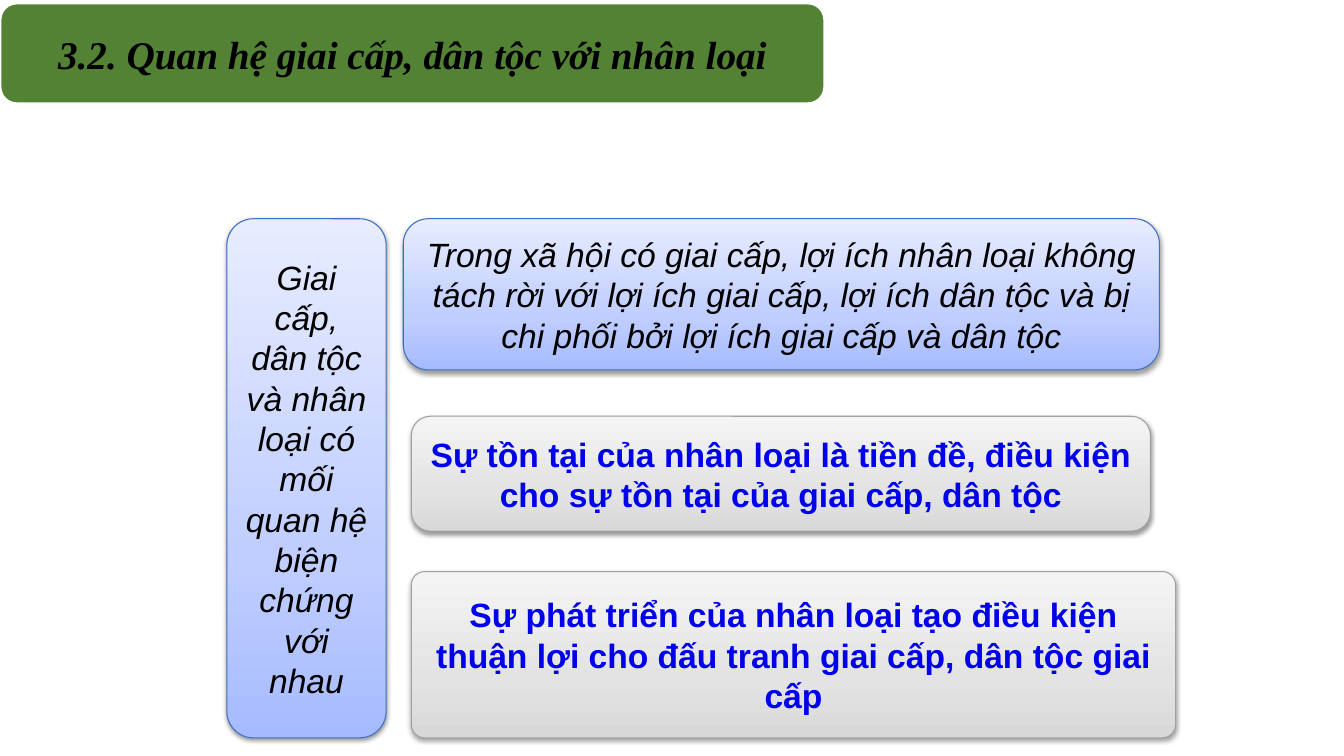
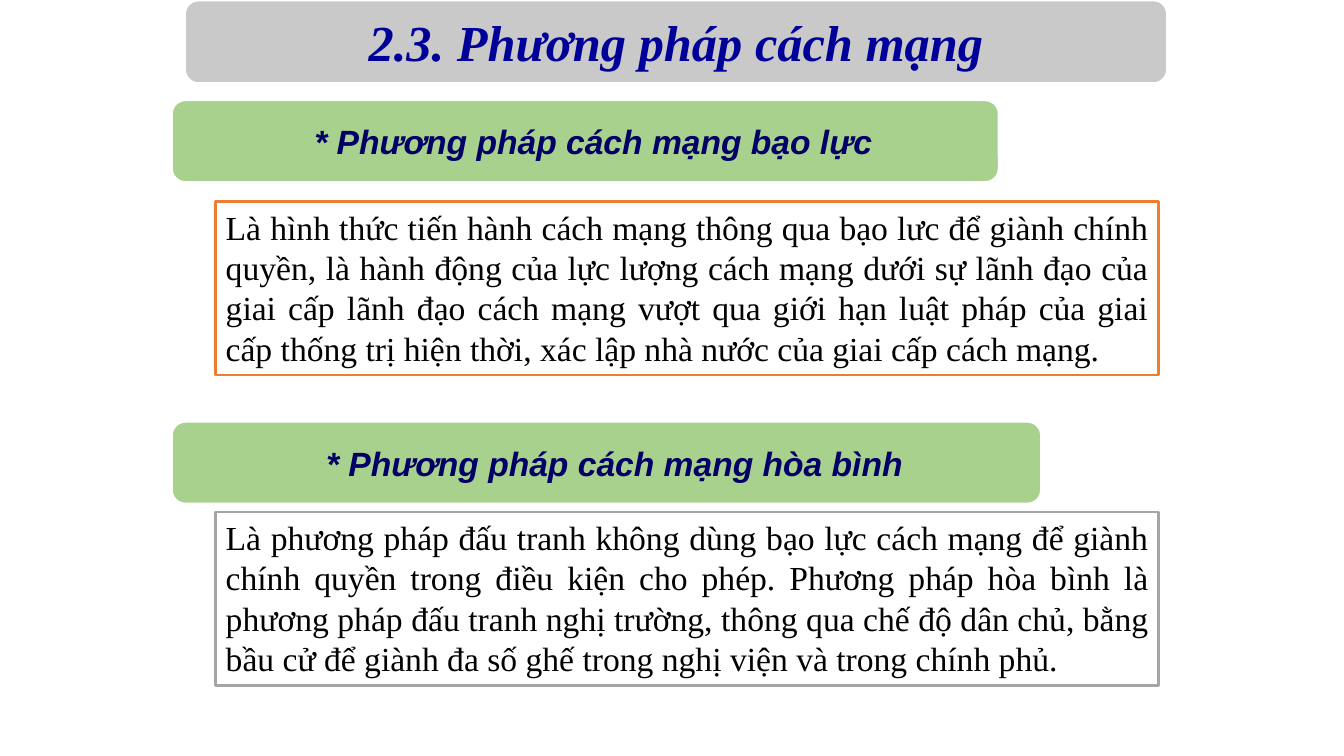
from copy import deepcopy

from lxml import etree
from pptx import Presentation
from pptx.dml.color import RGBColor
from pptx.enum.shapes import MSO_SHAPE
from pptx.enum.text import MSO_ANCHOR, MSO_AUTO_SIZE, PP_ALIGN
from pptx.oxml.ns import qn
from pptx.util import Emu, Pt

ROUNDED, RECT = MSO_SHAPE.ROUNDED_RECTANGLE, MSO_SHAPE.RECTANGLE
TOP, MIDDLE = MSO_ANCHOR.TOP, MSO_ANCHOR.MIDDLE
CENTER, JUSTIFY = PP_ALIGN.CENTER, PP_ALIGN.JUSTIFY
GROW = MSO_AUTO_SIZE.SHAPE_TO_FIT_TEXT

EMU_PER_PX = 9144
SANS, SERIF = "Arial", "Times New Roman"

BLACK = RGBColor(0x00, 0x00, 0x00)
WHITE = RGBColor(0xFF, 0xFF, 0xFF)
DARK_GREEN = RGBColor(0x54, 0x82, 0x35)
LIGHT_GREEN = RGBColor(0xA9, 0xD1, 0x8E)
SILVER = RGBColor(0xC9, 0xC9, 0xC9)
TITLE_BLUE = RGBColor(0x00, 0x00, 0x99)
NAVY = RGBColor(0x00, 0x00, 0x66)
BRIGHT_BLUE = RGBColor(0x00, 0x00, 0xEA)
ORANGE = RGBColor(0xED, 0x7D, 0x31)
GRAY = RGBColor(0xA5, 0xA5, 0xA5)
BLUE_EDGE = RGBColor(0x3F, 0x6F, 0xC3)
GRAY_EDGE = RGBColor(0xA1, 0xA1, 0xA1)
BLUE_STOPS = ((0, RGBColor(0xA6, 0xBB, 0xFF)),
              (0.35, RGBColor(0xC0, 0xCE, 0xFF)),
              (1, RGBColor(0xE7, 0xEC, 0xFF)))
GRAY_STOPS = ((0, RGBColor(0xD8, 0xD8, 0xD8)),
              (0.35, RGBColor(0xE3, 0xE3, 0xE3)),
              (1, RGBColor(0xF4, 0xF4, 0xF4)))

BLUE_CARD = dict(stops=BLUE_STOPS, edge=BLUE_EDGE, color=BLACK, italic=True)
GRAY_CARD = dict(stops=GRAY_STOPS, edge=GRAY_EDGE, color=BRIGHT_BLUE, bold=True)


def px(n):
    return Emu(n * EMU_PER_PX)


def add_box(s, kind, box, edge, width):
    sp = s.shapes.add_shape(kind, *map(px, box))
    sp.shadow.inherit = False
    sp.line.color.rgb = edge
    sp.line.width = Pt(width)
    return sp


def fill_solid(sp, color):
    sp.fill.solid()
    sp.fill.fore_color.rgb = color


def fill_gradient(sp, stops):
    """Fill from bottom to top with three colour stops."""
    sp.fill.gradient()
    sp.fill.gradient_angle = 90
    stop_list = sp.element.spPr.find(".//" + qn("a:gsLst"))
    stop_list.insert(1, deepcopy(stop_list[0]))
    for stop, (position, color) in zip(sp.fill.gradient_stops, stops):
        stop.position = position
        stop.color.rgb = color


def add_soft_shadow(sp):
    effects = sp.element.spPr.find(qn("a:effectLst"))
    shadow = etree.SubElement(effects, qn("a:outerShdw"), blurRad="40000",
                              dist="20000", dir="5400000", rotWithShape="0")
    color = etree.SubElement(shadow, qn("a:srgbClr"), val="000000")
    etree.SubElement(color, qn("a:alpha"), val="38000")


def set_text(sp, text, size, font, color, bold=False, italic=False,
             align=CENTER, anchor=MIDDLE):
    tf = sp.text_frame
    tf.word_wrap = True
    tf.vertical_anchor = anchor
    tf.text = text
    p = tf.paragraphs[0]
    p.alignment = align
    r = p.runs[0]
    r.font.size = Pt(size)
    r.font.name = font
    r.font.color.rgb = color
    r.font.bold = bold
    r.font.italic = italic


def add_band(s, box, text, fill, size, font, color, left=24):
    """Rounded heading band; left is the left inset of its text."""
    sp = add_box(s, ROUNDED, box, WHITE, 2)
    fill_solid(sp, fill)
    set_text(sp, text, size, font, color, bold=True, italic=True)
    tf = sp.text_frame
    tf.margin_left, tf.margin_right = px(left), px(24)
    tf.margin_top = tf.margin_bottom = 0


def add_title(s, box, text, fill, size, color):
    add_band(s, box, text, fill, size, SERIF, color)


def add_subtitle(s, top, width, text):
    add_band(s, (170, top, width, 82), text, LIGHT_GREEN, 24, SANS, NAVY, left=40)


def add_card(s, box, text, stops, edge, radius=None, **style):
    sp = add_box(s, ROUNDED, box, edge, 0.75)
    if radius is not None:
        sp.adjustments[0] = radius
    fill_gradient(sp, stops)
    add_soft_shadow(sp)
    set_text(sp, text, 24, SANS, **style)


def add_definition(s, top, text, edge):
    sp = add_box(s, RECT, (214, top, 935, 172), edge, 2)
    fill_solid(sp, WHITE)
    set_text(sp, text, 24, SERIF, BLACK, align=JUSTIFY, anchor=TOP)
    sp.text_frame.auto_size = GROW


def build_relations(s):
    add_title(s, (0, 3, 818, 100), "3.2. Quan hệ giai cấp, dân tộc với nhân loại",
              DARK_GREEN, 28, BLACK)
    add_card(s, (225, 217, 158, 515),
             "Giai cấp, dân tộc và nhân loại có mối quan hệ biện chứng với nhau",
             **BLUE_CARD)
    add_card(s, (400, 217, 750, 150),
             "Trong xã hội có giai cấp, lợi ích nhân loại không tách rời với lợi ích "
             "giai cấp, lợi ích dân tộc và bị chi phối bởi lợi ích giai cấp và dân tộc",
             **BLUE_CARD)
    add_card(s, (408, 413, 733, 114),
             "Sự tồn tại của nhân loại là tiền đề, điều kiện cho sự tồn tại của "
             "giai cấp, dân tộc", **GRAY_CARD)
    add_card(s, (408, 567, 758, 165),
             "Sự phát triển của nhân loại tạo điều kiện thuận lợi cho đấu tranh "
             "giai cấp, dân tộc giai cấp", radius=0.08, **GRAY_CARD)


def build_methods(s):
    add_title(s, (183, 0, 975, 83), "2.3. Phương pháp cách mạng",
              SILVER, 36, TITLE_BLUE)
    add_subtitle(s, 99, 821, "* Phương pháp cách mạng bạo lực")
    add_definition(s, 200,
                   "Là hình thức tiến hành cách mạng thông qua bạo lưc để giành chính "
                   "quyền, là hành động của lực lượng cách mạng dưới sự lãnh đạo của "
                   "giai cấp lãnh đạo cách mạng vượt qua giới hạn luật pháp của giai "
                   "cấp thống trị hiện thời, xác lập nhà nước của giai cấp cách mạng.",
                   ORANGE)
    add_subtitle(s, 418, 863, "* Phương pháp cách mạng hòa bình")
    add_definition(s, 508,
                   "Là phương pháp đấu tranh không dùng bạo lực cách mạng để giành "
                   "chính quyền trong điều kiện cho phép. Phương pháp hòa bình là "
                   "phương pháp đấu tranh nghị trường, thông qua chế độ dân chủ, bằng "
                   "bầu cử để giành đa số ghế trong nghị viện và trong chính phủ.",
                   GRAY)


def main():
    prs = Presentation()
    prs.slide_width, prs.slide_height = px(1333), px(750)
    blank = prs.slide_layouts[6]
    for build in (build_relations, build_methods):
        build(prs.slides.add_slide(blank))
    prs.save("out.pptx")


if __name__ == "__main__":
    main()
